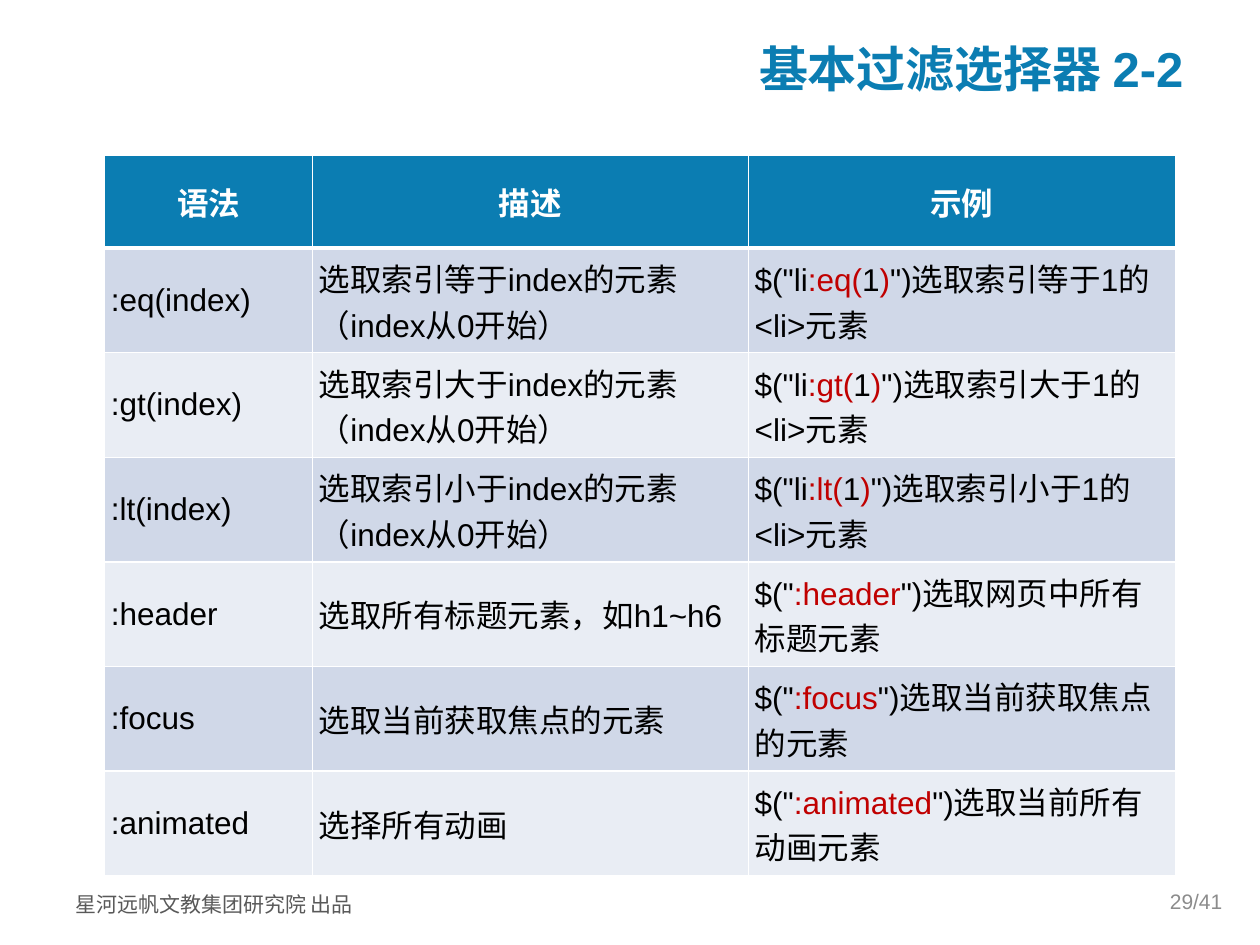
from lxml.etree import SubElement
from pptx import Presentation
from pptx.dml.color import RGBColor
from pptx.enum.text import MSO_ANCHOR, PP_ALIGN
from pptx.oxml import parse_xml
from pptx.oxml.ns import nsdecls, qn
from pptx.util import Inches, Pt

# Content: in the examples, plain and highlighted pieces alternate
TITLE = "基本过滤选择器 2-2"
FOOTER = "星河远帆文教集团研究院 出品"
PAGE_NUMBER = "29/41"
HEADERS = ["语法", "描述", "示例"]
SELECTORS = [
    (":eq(index)", "选取索引等于index的元素（index从0开始）",
     ['$("li', ":eq(", "1", ")", '")选取索引等于1的<li>元素']),
    (":gt(index)", "选取索引大于index的元素（index从0开始）",
     ['$("li', ":gt(", "1", ")", '")选取索引大于1的<li>元素']),
    (":lt(index)", "选取索引小于index的元素（index从0开始）",
     ['$("li', ":lt(", "1", ")", '")选取索引小于1的<li>元素']),
    (":header", "选取所有标题元素，如h1~h6",
     ['$("', ":header", '")选取网页中所有标题元素']),
    (":focus", "选取当前获取焦点的元素",
     ['$("', ":focus", '")选取当前获取焦点的元素']),
    (":animated", "选择所有动画",
     ['$("', ":animated", '")选取当前所有动画元素']),
]

# Look and grid, in inches
COLORS = {
    "brand": "0B7DB2", "white": "FFFFFF", "text": "000000", "highlight": "C00000",
    "band_dark": "D0D8E8", "band_light": "E9EDF4", "footer": "595959", "page": "8C8C8C",
}
LATIN_FONT, CHINESE_FONT = "Arial", "Noto Sans CJK SC"
TABLE_LEFT, TABLE_TOP = 0.83, 1.23
COLUMN_WIDTHS = [1.65, 3.46, 3.39]
ROW_HEIGHTS = [0.74] + [0.83] * len(SELECTORS)


def style_run(run, size, color, bold=False, font=LATIN_FONT):
    run.font.size = Pt(size)
    run.font.bold = bold
    run.font.name = font
    run.font.color.rgb = RGBColor.from_string(COLORS[color])
    SubElement(run.font._element, qn("a:ea")).set("typeface", CHINESE_FONT)


def add_text(slide, box, text, size, color, align=PP_ALIGN.LEFT,
             anchor=MSO_ANCHOR.MIDDLE, spacing=1.0, **style):
    shape = slide.shapes.add_textbox(*map(Inches, box))
    frame = shape.text_frame
    frame.word_wrap = True
    frame.vertical_anchor = anchor
    frame.text = text
    paragraph = frame.paragraphs[0]
    paragraph.alignment = align
    paragraph.line_spacing = spacing
    style_run(paragraph.runs[0], size, color, **style)


def set_borders(cell, top, bottom):
    widths = {"lnL": 1, "lnR": 1, "lnT": top, "lnB": bottom}
    properties = cell._tc.get_or_add_tcPr()
    for position, (side, width) in enumerate(widths.items()):
        properties.insert(position, parse_xml(
            f'<a:{side} {nsdecls("a")} w="{Pt(width)}"><a:solidFill>'
            f'<a:srgbClr val="{COLORS["white"]}"/></a:solidFill></a:{side}>'))


def fill_cell(cell, pieces, row):
    is_header = row == 0
    cell.fill.solid()
    background = "brand" if is_header else ("band_light", "band_dark")[row % 2]
    cell.fill.fore_color.rgb = RGBColor.from_string(COLORS[background])
    set_borders(cell, top=3 if row == 1 else 1, bottom=3 if is_header else 1)
    cell.vertical_anchor = MSO_ANCHOR.MIDDLE
    cell.margin_left = cell.margin_right = Inches(0.07 if is_header else 0.05)
    cell.margin_top = cell.margin_bottom = 0
    paragraph = cell.text_frame.paragraphs[0]
    paragraph.alignment = PP_ALIGN.CENTER if is_header else PP_ALIGN.LEFT
    paragraph.space_before = Pt(3.6)
    for index, piece in enumerate(pieces):
        run = paragraph.add_run()
        run.text = piece
        color = "white" if is_header else ("text", "highlight")[index % 2]
        style_run(run, 18, color, bold=is_header)


def add_selector_table(slide):
    rows = [HEADERS] + SELECTORS
    table = slide.shapes.add_table(
        len(rows), len(HEADERS), Inches(TABLE_LEFT), Inches(TABLE_TOP),
        Inches(sum(COLUMN_WIDTHS)), Inches(sum(ROW_HEIGHTS))).table
    for column, width in zip(table.columns, COLUMN_WIDTHS):
        column.width = Inches(width)
    for table_row, height in zip(table.rows, ROW_HEIGHTS):
        table_row.height = Inches(height)
    for row, contents in enumerate(rows):
        for column, content in enumerate(contents):
            pieces = [content] if isinstance(content, str) else content
            fill_cell(table.cell(row, column), pieces, row)


def main():
    presentation = Presentation()
    presentation.slide_width, presentation.slide_height = Inches(10), Inches(7.5)
    slide = presentation.slides.add_slide(presentation.slide_layouts[6])

    # Footer, title, table, page number
    add_text(slide, (0.5, 6.99, 2.53, 0.34), FOOTER, 12, "footer",
             anchor=MSO_ANCHOR.TOP, spacing=1.2, font=CHINESE_FONT)
    add_text(slide, (1, 0.31, 8.49, 0.45), TITLE, 28, "brand", PP_ALIGN.RIGHT, bold=True)
    add_selector_table(slide)
    add_text(slide, (7.47, 6.95, 2.33, 0.4), PAGE_NUMBER, 12, "page", PP_ALIGN.RIGHT)

    presentation.save("out.pptx")


if __name__ == "__main__":
    main()
